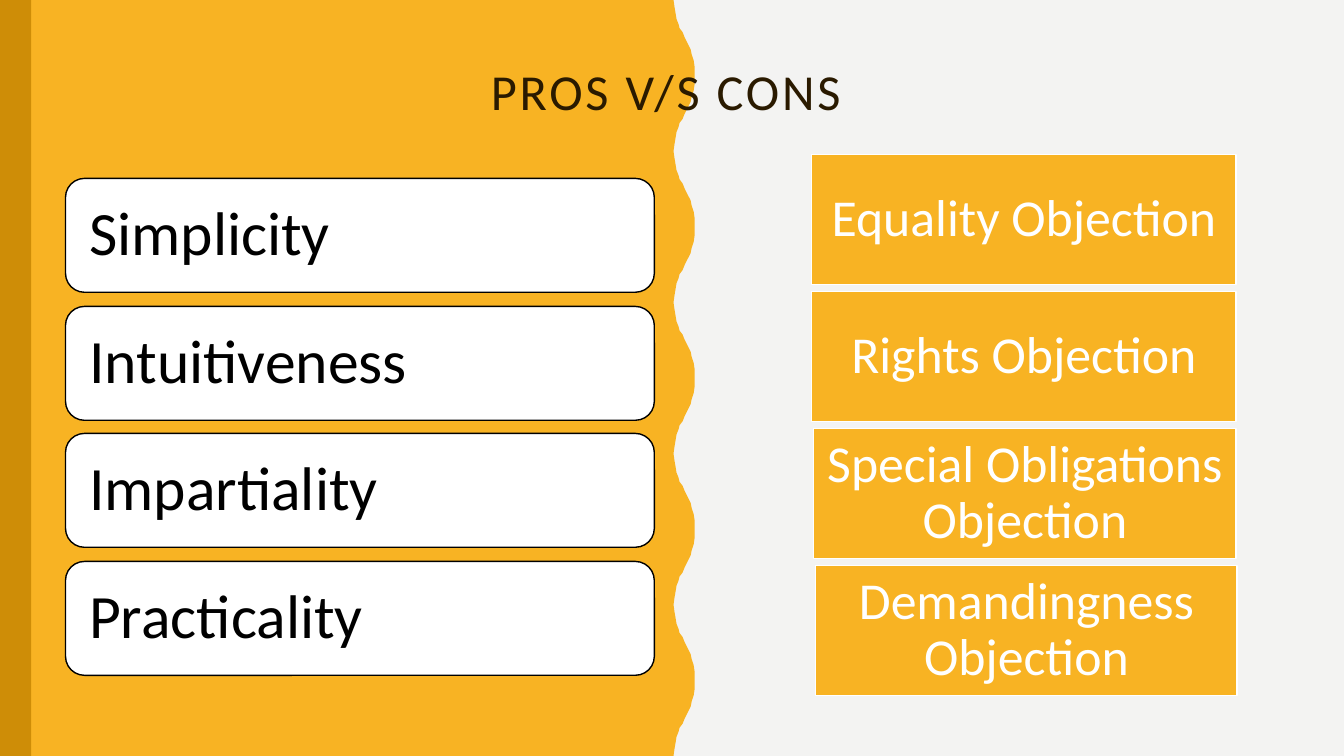
from pptx import Presentation
from pptx.dml.color import RGBColor
from pptx.enum.shapes import MSO_SHAPE
from pptx.enum.text import MSO_ANCHOR, PP_ALIGN
from pptx.util import Pt

RECTANGLE = MSO_SHAPE.RECTANGLE
ROUNDED = MSO_SHAPE.ROUNDED_RECTANGLE
LEFT, CENTER = PP_ALIGN.LEFT, PP_ALIGN.CENTER
MIDDLE = MSO_ANCHOR.MIDDLE

SCALE = 9144  # EMU in one px, 100 px to the inch
WIDTH, HEIGHT = 1333, 750

AMBER, DARK_AMBER, BROWN = "F8B323", "CE8D07", "2A1A00"
PALE, WHITE, BLACK = "F3F3F2", "FFFFFF", "000000"

PROS = ["Simplicity", "Intuitiveness", "Impartiality", "Practicality"]
PROS_TOP, PROS_PITCH = 177, 126.67

# Text, left and width of each box
CONS = [
    ("Equality Objection", 805, 421),
    ("Rights Objection", 805, 421),
    ("Special Obligations Objection", 807, 419),
    ("Demandingness Objection", 809, 418),
]
CONS_TOP, CONS_PITCH = 153, 136

WAVE_LEFT, WAVE_LENGTH, WAVE_COUNT = 668, 150, 5
# Down and outward offsets from a trough to the crest
RISE = [(0, 0), (7, 1), (13, 2), (19, 3), (24, 5), (28, 6), (32, 9), (37, 11),
        (41, 13), (45, 15), (49, 17), (54, 18), (60, 20), (67, 21), (75, 21)]


def px(length):
    return round(length * SCALE)


def color(value):
    return RGBColor.from_string(value)


def write(shape, text, *, size, ink, align=LEFT, inset=10, inset_y=None, spacing=None):
    """Put one paragraph in a shape; inset and inset_y in px, spacing in points."""
    frame = shape.text_frame
    frame.word_wrap = True
    frame.vertical_anchor = MIDDLE
    frame.margin_left = frame.margin_right = px(inset)
    frame.margin_top = frame.margin_bottom = px(inset if inset_y is None else inset_y)
    paragraph = frame.paragraphs[0]
    paragraph.alignment = align
    paragraph.line_spacing = 0.9
    run = paragraph.add_run()
    run.text = text
    run.font.name = "Calibri"
    run.font.size = Pt(size)
    run.font.color.rgb = color(ink)
    if spacing:
        run.font._element.set("spc", str(spacing * 100))


class SlideBuilder:
    def __init__(self, slide, background):
        self.slide = slide
        fill = slide.background.fill
        fill.solid()
        fill.fore_color.rgb = color(background)

    def paint(self, shape, fill, line=None):
        shape.shadow.inherit = False
        shape.fill.solid()
        shape.fill.fore_color.rgb = color(fill)
        if line:
            shape.line.color.rgb = color(line)
            shape.line.width = Pt(1)
        else:
            shape.line.fill.background()

    def box(self, kind, left, top, width, height, fill, line=None):
        shape = self.slide.shapes.add_shape(
            kind, px(left), px(top), px(width), px(height))
        self.paint(shape, fill, line)
        return shape

    def outline(self, points, fill):
        builder = self.slide.shapes.build_freeform(*points[0], scale=SCALE)
        builder.add_line_segments(points[1:], close=True)
        self.paint(builder.convert_to_shape(), fill)

    def text(self, left, top, width, height, text, **style):
        shape = self.slide.shapes.add_textbox(
            px(left), px(top), px(width), px(height))
        write(shape, text, **style)


def wavy_panel():
    """Return the corners of the left panel, with its wavy right edge."""
    fall = [(WAVE_LENGTH - down, out) for down, out in reversed(RISE[:-1])]
    wave = RISE + fall[:-1]
    edge = [(WAVE_LEFT + out, number * WAVE_LENGTH + down)
            for number in range(WAVE_COUNT) for down, out in wave]
    return [(0, 0)] + edge + [(WAVE_LEFT, HEIGHT), (0, HEIGHT)]


def main():
    presentation = Presentation()
    presentation.slide_width, presentation.slide_height = px(WIDTH), px(HEIGHT)
    slide = presentation.slides.add_slide(presentation.slide_layouts[6])
    builder = SlideBuilder(slide, PALE)

    builder.outline(wavy_panel(), AMBER)
    builder.box(RECTANGLE, 0, 0, 31, HEIGHT, DARK_AMBER)
    builder.text(477, 33, 791, 121, "PROS V/S CONS",
                 size=36, ink=BROWN, inset_y=5, spacing=2)

    for row, (text, left, width) in enumerate(CONS):
        top = CONS_TOP + row * CONS_PITCH
        shape = builder.box(RECTANGLE, left, top, width, 129, AMBER, WHITE)
        write(shape, text, size=37, ink=WHITE, align=CENTER)

    for row, text in enumerate(PROS):
        top = round(PROS_TOP + row * PROS_PITCH)
        shape = builder.box(ROUNDED, 65, top, 584, 113, WHITE, BLACK)
        # The rounded corners already inset the text by about 6 px
        write(shape, text, size=44, ink=BLACK, inset=18)

    presentation.save("out.pptx")


if __name__ == "__main__":
    main()
